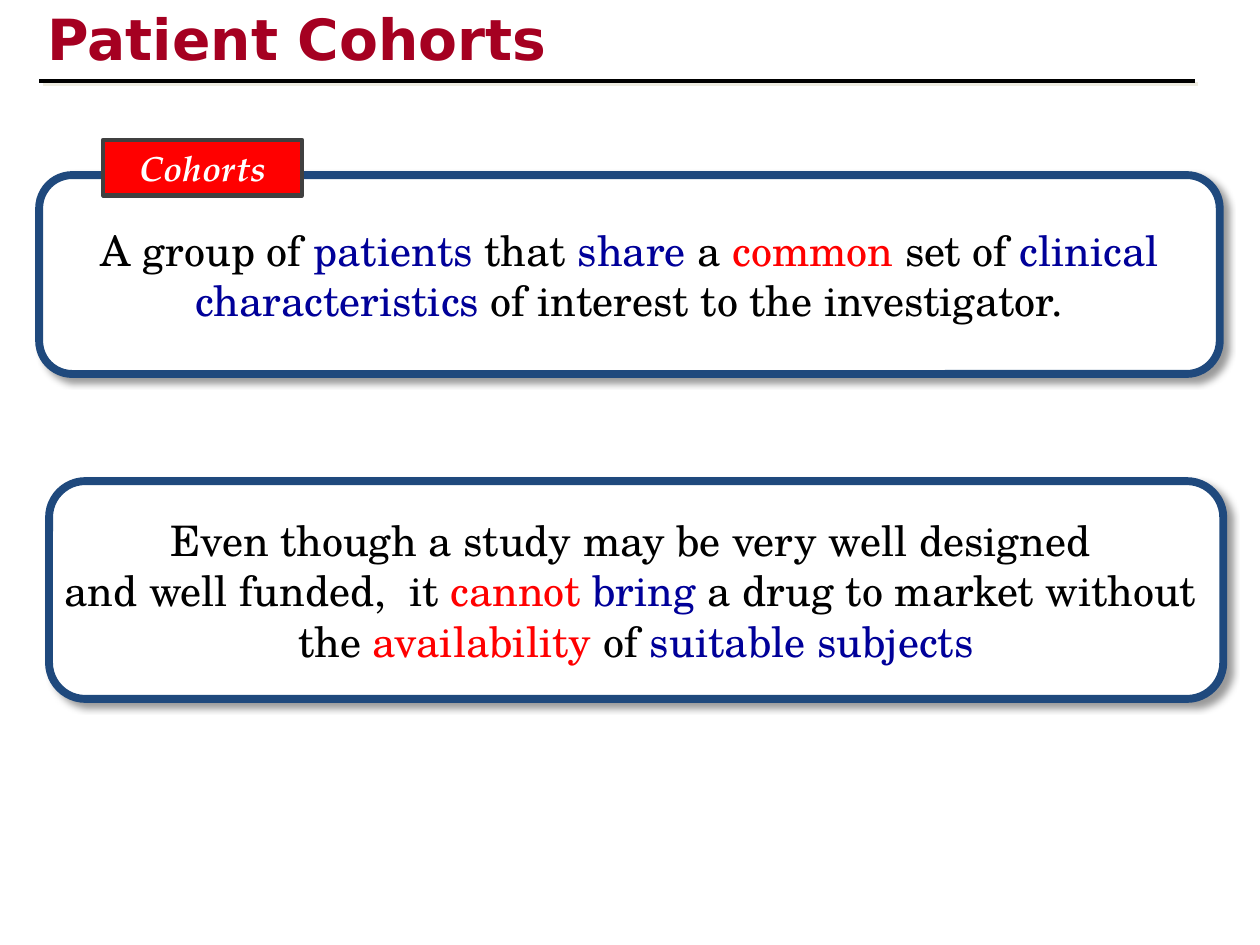
from dataclasses import dataclass

from lxml.etree import SubElement
from pptx import Presentation
from pptx.dml.color import RGBColor
from pptx.enum.shapes import MSO_CONNECTOR, MSO_SHAPE
from pptx.enum.text import MSO_ANCHOR as Anchor, PP_ALIGN as Align
from pptx.oxml.ns import qn
from pptx.util import Cm, Pt

COLORS = {
    "black": "000000", "white": "FFFFFF", "red": "FF0000", "blue": "000099",
    "crimson": "A50021", "navy": "1F497D", "gray": "404040", "cream": "EEECE1",
}
TITLE_FONT = "DejaVu Sans"
BODY_FONT = "TeX Gyre Schola"
TAG_FONT = "TeX Gyre Pagella"

Line = list[tuple[str, str]]


@dataclass
class Panel:
    left: float
    top: float
    width: float
    height: float
    lines: list[Line]


PANELS = [
    Panel(0.79, 3.53, 23.8, 4.01, [
        [("A group of ", "black"), ("patients", "blue"), (" that ", "black"),
         ("share", "blue"), (" a ", "black"), ("common", "red"),
         (" set of ", "black"), ("clinical", "blue")],
        [("characteristics", "blue"),
         (" of interest to the investigator.", "black")],
    ]),
    Panel(0.99, 9.7, 23.67, 4.39, [
        [("Even though a study may be very well designed ", "black")],
        [("and well funded,  it ", "black"), ("cannot ", "red"),
         ("bring", "blue"), (" a drug to market without ", "black")],
        [("the ", "black"), ("availability ", "red"), ("of ", "black"),
         ("suitable subjects", "blue")],
    ]),
]


def rgb(name: str) -> RGBColor:
    return RGBColor.from_string(COLORS[name])


def add_shadow(effects, color: str, alpha: int, blur: float, dist: float) -> None:
    """Put a shadow cast to the lower right into an a:effectLst."""
    shadow = SubElement(effects, qn("a:outerShdw"), blurRad=str(Pt(blur)),
                        dist=str(Pt(dist)), dir="2700000", algn="tl", rotWithShape="0")
    clr = SubElement(shadow, qn("a:srgbClr"), val=COLORS[color])
    SubElement(clr, qn("a:alpha"), val=str(alpha * 1000))


def write_text(tf, lines: list[Line], *, font: str, size: float, bold=False,
               italic=False, align=Align.CENTER, anchor=Anchor.MIDDLE, wrap=True) -> None:
    tf.word_wrap = wrap
    tf.vertical_anchor = anchor
    for i, line in enumerate(lines):
        p = tf.add_paragraph() if i else tf.paragraphs[0]
        p.alignment = align
        for text, color in line:
            r = p.add_run()
            r.text = text
            r.font.name = font
            r.font.size = Pt(size)
            r.font.bold = bold
            r.font.italic = italic
            r.font.color.rgb = rgb(color)


def add_box(slide, kind, left: float, top: float, width: float, height: float,
            *, fill: str, line: str, weight: float):
    sp = slide.shapes.add_shape(kind, Cm(left), Cm(top), Cm(width), Cm(height))
    sp.fill.solid()
    sp.fill.fore_color.rgb = rgb(fill)
    sp.line.color.rgb = rgb(line)
    sp.line.width = Pt(weight)
    sp.shadow.inherit = False
    return sp


def add_title(slide, text: str) -> None:
    tb = slide.shapes.add_textbox(Cm(0.71), Cm(-0.08), Cm(21.59), Cm(1.7))
    write_text(tb.text_frame, [[(text, "crimson")]], font=TITLE_FONT, size=32.4,
               bold=True, align=Align.LEFT)
    r_pr = tb.text_frame.paragraphs[0].runs[0].font._element
    effects = SubElement(r_pr, qn("a:effectLst"))
    r_pr.find(qn("a:solidFill")).addnext(effects)
    add_shadow(effects, "cream", 100, 0, 2.8)


def add_rule(slide) -> None:
    rule = slide.shapes.add_connector(MSO_CONNECTOR.STRAIGHT,
                                      Cm(0.79), Cm(1.63), Cm(24.08), Cm(1.63))
    rule.line.color.rgb = rgb("black")
    rule.line.width = Pt(2.25)
    effects = SubElement(rule._element.spPr, qn("a:effectLst"))
    add_shadow(effects, "cream", 100, 0, 2.8)


def add_panel(slide, panel: Panel) -> None:
    sp = add_box(slide, MSO_SHAPE.ROUNDED_RECTANGLE, panel.left, panel.top,
                 panel.width, panel.height, fill="white", line="navy", weight=4.5)
    add_shadow(sp._element.spPr.find(qn("a:effectLst")), "black", 40, 4, 4)
    write_text(sp.text_frame, panel.lines, font=BODY_FONT, size=24, wrap=False)


def add_tag(slide, text: str) -> None:
    sp = add_box(slide, MSO_SHAPE.RECTANGLE, 2.08, 2.82, 4.01, 1.12,
                 fill="red", line="gray", weight=2.5)
    write_text(sp.text_frame, [[(text, "white")]], font=TAG_FONT, size=20,
               bold=True, italic=True, anchor=Anchor.TOP)


def main() -> None:
    prs = Presentation()
    prs.slide_width, prs.slide_height = Cm(25.4), Cm(19.05)
    slide = prs.slides.add_slide(prs.slide_layouts[6])
    add_title(slide, "Patient Cohorts")
    add_rule(slide)
    for panel in PANELS:
        add_panel(slide, panel)
    add_tag(slide, "Cohorts")
    prs.save("out.pptx")


if __name__ == "__main__":
    main()
